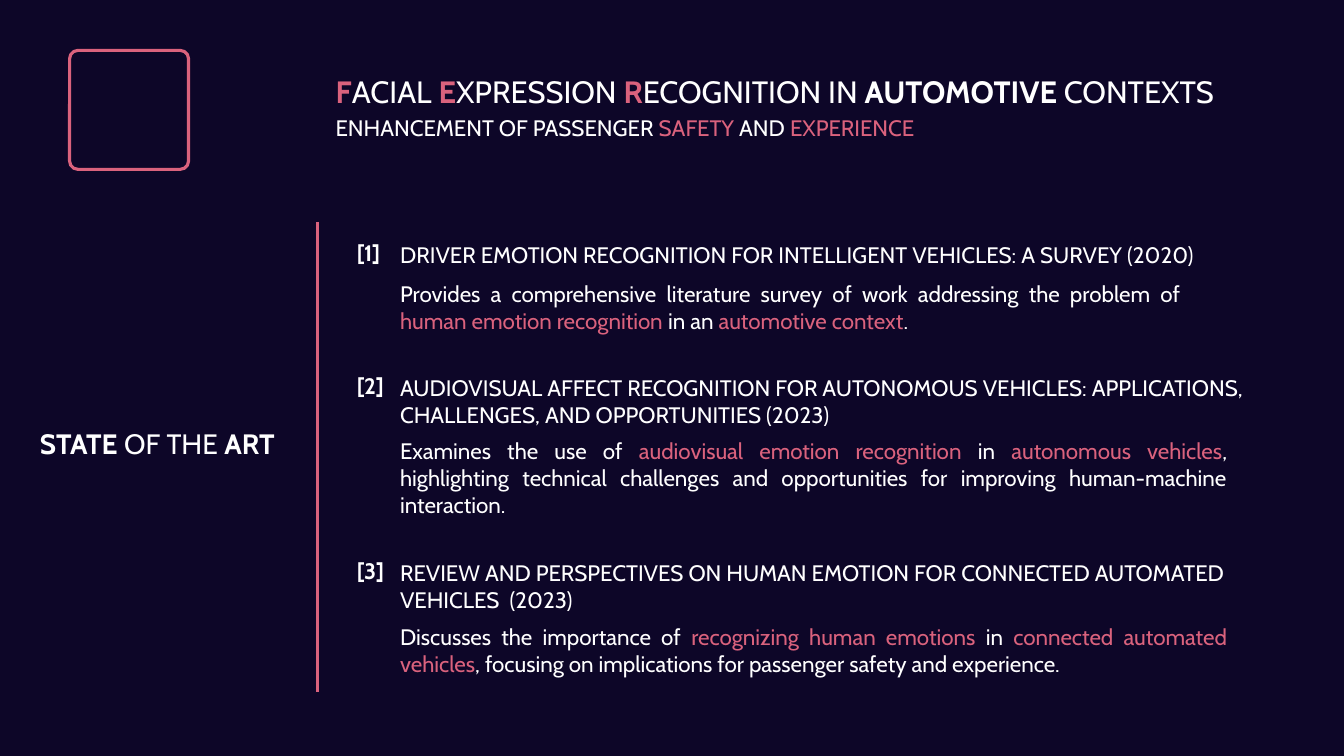
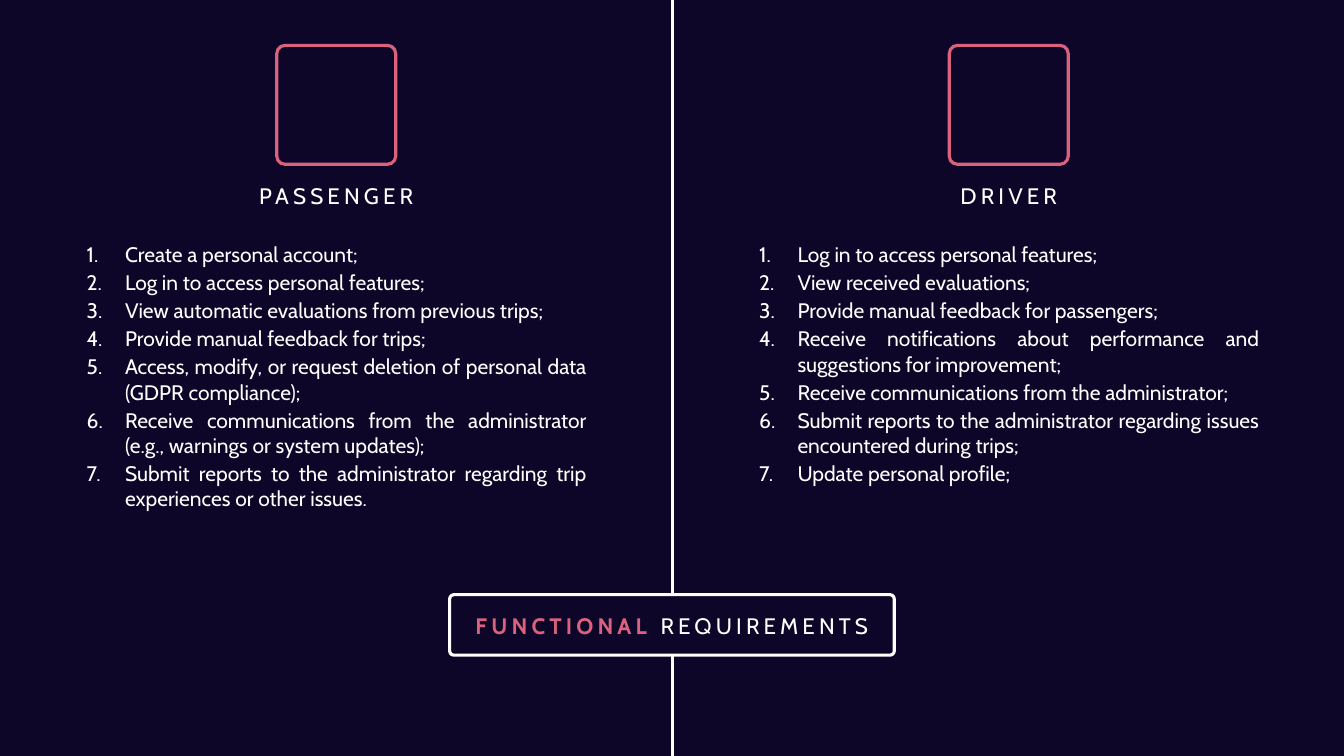
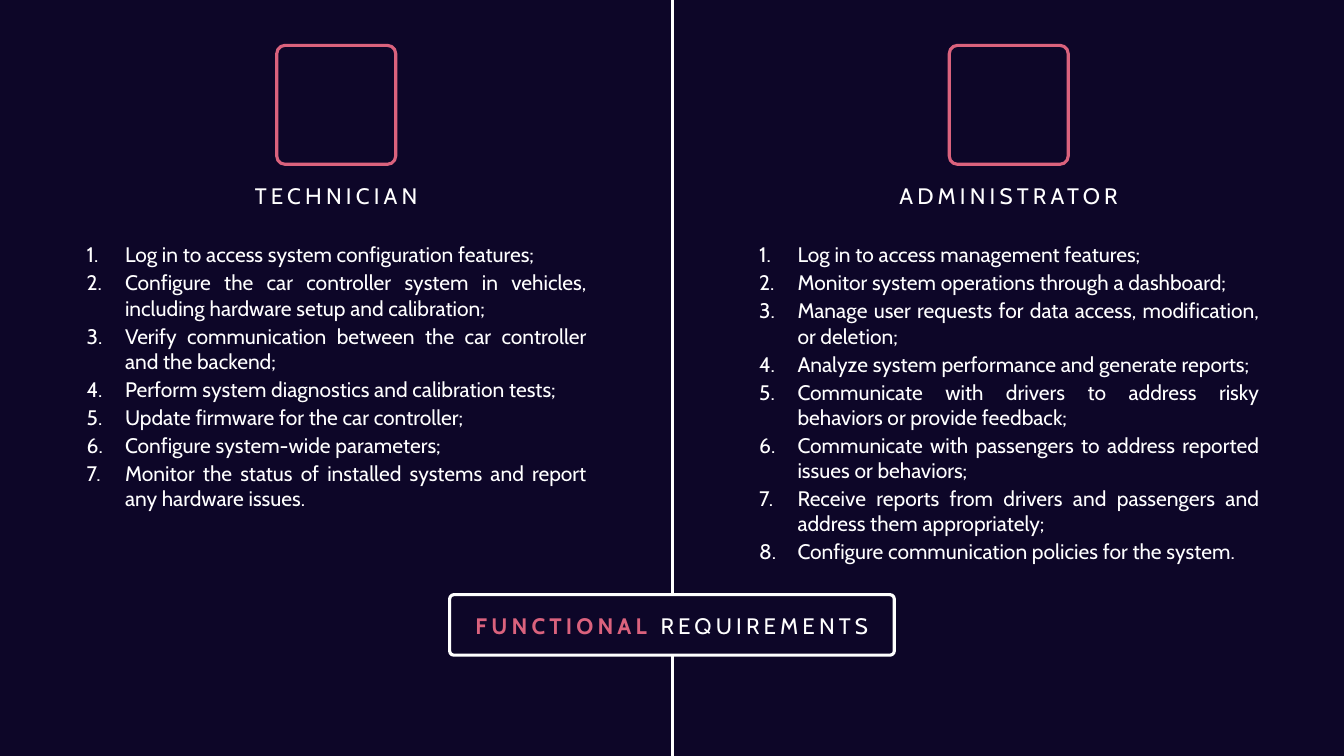
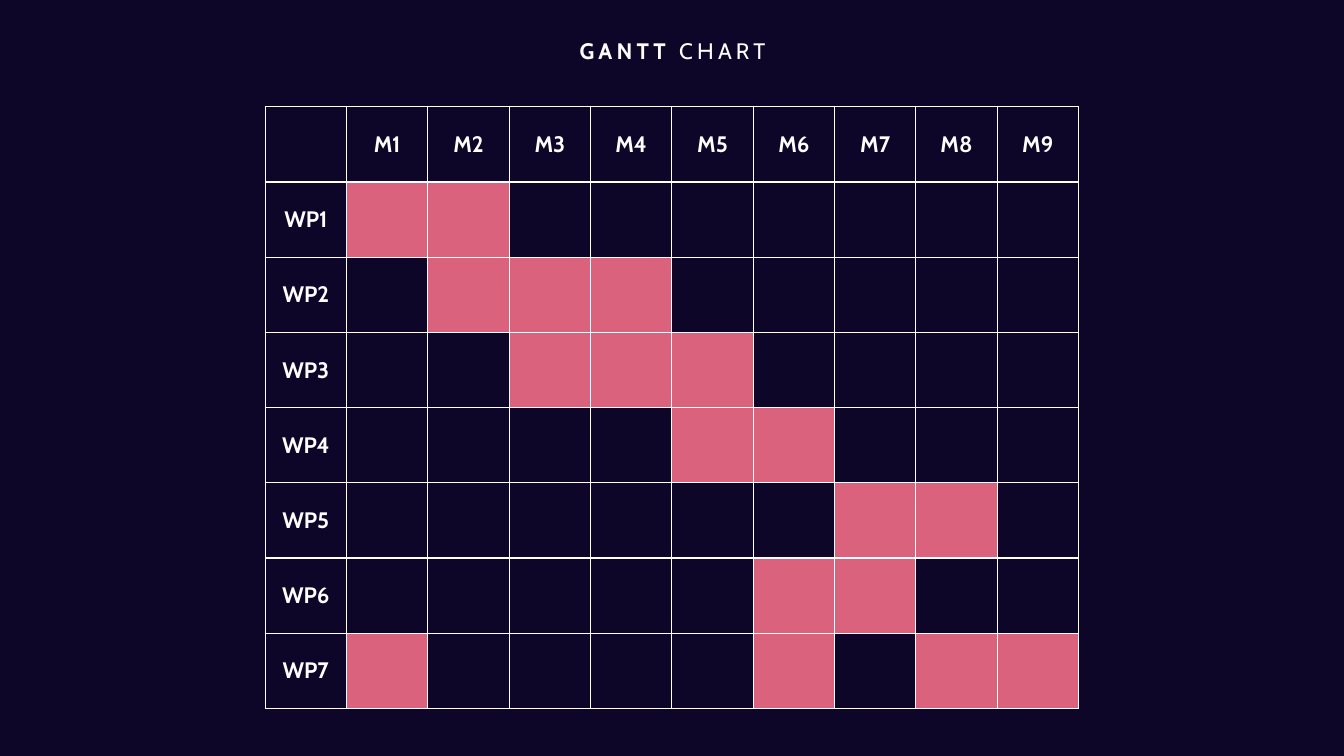
import pptx
import pptx.dml.color
import pptx.enum.shapes
import pptx.enum.text
import pptx.oxml.ns
import pptx.util
from lxml import etree

Inches, Pt = pptx.util.Inches, pptx.util.Pt
RGB = pptx.dml.color.RGBColor.from_string
ALIGN = pptx.enum.text.PP_ALIGN
ANCHOR = pptx.enum.text.MSO_ANCHOR
SHAPE = pptx.enum.shapes.MSO_SHAPE
qn = pptx.oxml.ns.qn

COLORS = {"night": "0D0628", "rose": "DA627D", "white": "FFFFFF"}
FONT = "Cabin"
TITLE_ONLY, COMPARISON = 5, 4
MIDDLE = 6.67
BOX_SIZE = 1.18
TEXT_LEFT = 3.87

# BEGIN_CONTENT
TITLE = [("F", "bold rose"), ("ACIAL ", ""), ("E", "bold rose"), ("XPRESSION ", ""),
         ("R", "bold rose"), ("ECOGNITION IN ", ""), ("AUTOMOTIVE", "bold"), (" CONTEXTS", "")]
SUBTITLE = [("ENHANCEMENT OF PASSENGER ", ""), ("SAFETY", "rose"), (" AND ", ""),
            ("EXPERIENCE", "rose")]
SECTION = [("STATE", "bold"), (" OF THE ", ""), ("ART", "bold")]
REFERENCES = [
    {"top": 2.34, "heading": "DRIVER EMOTION RECOGNITION FOR INTELLIGENT VEHICLES: A SURVEY (2020)",
     "heading_size": (8.71, 0.37), "summary_at": (2.73, 7.94, 0.64),
     "summary": [
         ("Provides a comprehensive literature survey of work addressing the problem of ", ""),
         ("human emotion recognition ", "rose"), ("in an ", ""),
         ("automotive context", "rose"), (".", "")]},
    {"top": 3.66, "heading": "AUDIOVISUAL AFFECT RECOGNITION FOR AUTONOMOUS VEHICLES: "
                             "APPLICATIONS, CHALLENGES, AND OPPORTUNITIES (2023)",
     "heading_size": (9.03, 0.64), "summary_at": (4.29, 8.4, 0.91),
     "summary": [
         ("Examines the use of ", ""), ("audiovisual emotion recognition", "rose"),
         (" in ", ""), ("autonomous vehicles", "rose"),
         (", highlighting technical challenges and opportunities for improving "
          "human-machine interaction.", "")]},
    {"top": 5.5, "heading": "REVIEW AND PERSPECTIVES ON HUMAN EMOTION FOR CONNECTED "
                            "AUTOMATED VEHICLES  (2023)",
     "heading_size": (9.03, 0.64), "summary_at": (6.13, 8.4, 0.64),
     "summary": [
         ("Discusses the importance of ", ""), ("recognizing human emotions", "rose"),
         (" in ", ""), ("connected automated vehicles", "rose"),
         (", focusing on implications for passenger safety and experience.", "")]},
]
REQUIREMENTS_TITLE = [("FUNCTIONAL", "bold rose"), (" REQUIREMENTS", "")]
REQUIREMENTS = [
    [("PASSENGER", [
        "Create a personal account;",
        "Log in to access personal features;",
        "View automatic evaluations from previous trips;",
        "Provide manual feedback for trips;",
        "Access, modify, or request deletion of personal data (GDPR compliance);",
        "Receive communications from the administrator (e.g., warnings or system updates);",
        "Submit reports to the administrator regarding trip experiences or other issues."]),
     ("DRIVER", [
         "Log in to access personal features;",
         "View received evaluations;",
         "Provide manual feedback for passengers;",
         "Receive notifications about performance and suggestions for improvement;",
         "Receive communications from the administrator;",
         "Submit reports to the administrator regarding issues encountered during trips;",
         "Update personal profile;"])],
    [("TECHNICIAN", [
        "Log in to access system configuration features;",
        "Configure the car controller system in vehicles, including hardware setup and calibration;",
        "Verify communication between the car controller and the backend;",
        "Perform system diagnostics and calibration tests;",
        "Update firmware for the car controller;",
        "Configure system-wide parameters;",
        "Monitor the status of installed systems and report any hardware issues."]),
     ("ADMINISTRATOR", [
         "Log in to access management features;",
         "Monitor system operations through a dashboard;",
         "Manage user requests for data access, modification, or deletion;",
         "Analyze system performance and generate reports;",
         "Communicate with drivers to address risky behaviors or provide feedback;",
         "Communicate with passengers to address reported issues or behaviors;",
         "Receive reports from drivers and passengers and address them appropriately;",
         "Configure communication policies for the system."])],
]
GANTT_TITLE = [("GANTT", "bold"), (" CHART", "")]
MONTHS = 9
WORK_PACKAGES = [(1, 2), (2, 3, 4), (3, 4, 5), (5, 6), (7, 8), (6, 7), (1, 6, 8, 9)]
# END_CONTENT


def add_runs(p, runs, size, align=ALIGN.LEFT, spacing=0):
    p.alignment = align
    for text, style in runs:
        r = p.add_run()
        r.text = text
        r.font.name, r.font.size = FONT, Pt(size)
        r.font.bold = "bold" in style
        r.font.color.rgb = RGB(COLORS["rose" if "rose" in style else "white"])
        if spacing:
            r.font._element.set("spc", str(spacing * 100))


def place(sp, at):
    sp.left, sp.top, sp.width, sp.height = (Inches(v) for v in at)
    tf = sp.text_frame
    tf.word_wrap = True
    tf.auto_size = pptx.enum.text.MSO_AUTO_SIZE.NONE
    tf.vertical_anchor = ANCHOR.TOP
    return tf


def fill_text(sp, at, runs, size=16, align=ALIGN.LEFT, spacing=0):
    p = place(sp, at).paragraphs[0]
    p.space_before = Pt(0)
    add_runs(p, runs, size, align, spacing)


def add_text(slide, at, runs, **options):
    sp = slide.shapes.add_textbox(0, 0, 0, 0)
    fill_text(sp, at, runs, **options)


def fill_list(sp, at, items):
    tf = place(sp, at)
    for i, item in enumerate(items):
        p = tf.add_paragraph() if i else tf.paragraphs[0]
        p.space_before = Pt(2)
        add_runs(p, [(item, "")], 15, ALIGN.JUSTIFY)
        pPr = p._p.get_or_add_pPr()
        pPr.set("marL", str(Inches(0.38)))
        pPr.set("indent", str(-Inches(0.38)))
        etree.SubElement(pPr, qn("a:buFont")).set("typeface", FONT)
        etree.SubElement(pPr, qn("a:buAutoNum")).set("type", "arabicPeriod")


def add_frame(slide, at, color):
    sp = slide.shapes.add_shape(SHAPE.ROUNDED_RECTANGLE, *(Inches(v) for v in at))
    sp.adjustments[0] = 0.07
    sp.shadow.inherit = False
    sp.fill.background()
    sp.line.color.rgb = RGB(COLORS[color])
    sp.line.width = Pt(2.25)


def add_vertical(slide, x, top, bottom, color):
    line = slide.shapes.add_connector(
        pptx.enum.shapes.MSO_CONNECTOR.STRAIGHT,
        Inches(x), Inches(top), Inches(x), Inches(bottom))
    line.line.color.rgb = RGB(COLORS[color])
    line.line.width = Pt(2.25)
    etree.SubElement(line._element.spPr, qn("a:effectLst"))


def style_cell(cell, color):
    tcPr = cell._tc.get_or_add_tcPr()
    for side in ("lnL", "lnR", "lnT", "lnB"):
        ln = etree.SubElement(tcPr, qn("a:" + side))
        ln.set("w", str(Pt(1)))
        fill = etree.SubElement(ln, qn("a:solidFill"))
        etree.SubElement(fill, qn("a:srgbClr")).set("val", COLORS["white"])
    cell.fill.solid()
    cell.fill.fore_color.rgb = RGB(COLORS[color])
    cell.vertical_anchor = ANCHOR.MIDDLE


def new_slide(prs, layout):
    return prs.slides.add_slide(prs.slide_layouts[layout])


def build_state_of_art(prs):
    slide = new_slide(prs, TITLE_ONLY)
    fill_text(slide.shapes.title, (3.23, 0.67, 9.22, 0.47), TITLE, size=22)
    add_text(slide, (3.23, 1.08, 7.27, 0.37), SUBTITLE)
    add_frame(slide, (0.69, 0.5, BOX_SIZE, BOX_SIZE), "rose")
    add_text(slide, (0, 4.18, 3.12, 0.44), SECTION, size=20, align=ALIGN.CENTER)
    add_vertical(slide, 3.15, 2.2, 6.87, "rose")
    for number, ref in enumerate(REFERENCES, 1):
        add_text(slide, (3.44, ref["top"] - 0.02, 0.59, 0.37), [(f"[{number}]", "bold")])
        add_text(slide, (TEXT_LEFT, ref["top"], *ref["heading_size"]), [(ref["heading"], "")])
        add_text(slide, (TEXT_LEFT, *ref["summary_at"]), ref["summary"], align=ALIGN.JUSTIFY)


def build_requirements(prs, roles):
    slide = new_slide(prs, COMPARISON)
    heads_and_lists = [sp for sp in slide.placeholders if sp.placeholder_format.idx in (1, 2, 3, 4)]
    for column, (role, items) in enumerate(roles):
        head, body = heads_and_lists[2 * column:2 * column + 2]
        center = MIDDLE * (column + 0.5)
        fill_text(head, (center - 1.32, 1.76, 2.64, 0.37), [(role, "")],
                  align=ALIGN.CENTER, spacing=3)
        fill_list(body, (0.76 + MIDDLE * column, 2.35, 5.16, 3.33), items)
        add_frame(slide, (center - BOX_SIZE / 2, 0.45, BOX_SIZE, BOX_SIZE), "rose")
    fill_text(slide.shapes.title, (3.6, 6.02, 6.13, 0.37), REQUIREMENTS_TITLE,
              align=ALIGN.CENTER, spacing=3)
    add_frame(slide, (4.46, 5.9, 4.41, 0.6), "white")
    for top, bottom in ((0, 5.9), (6.5, 7.5)):
        add_vertical(slide, MIDDLE, top, bottom, "white")


def build_gantt(prs):
    slide = new_slide(prs, TITLE_ONLY)
    fill_text(slide.shapes.title, (5.38, 0.32, 2.58, 0.37), GANTT_TITLE,
              align=ALIGN.CENTER, spacing=3)
    rows, cols = len(WORK_PACKAGES) + 1, MONTHS + 1
    table = slide.shapes.add_table(rows, cols, Inches(2.63), Inches(1.06),
                                   Inches(8.07), Inches(5.97)).table
    table.first_row = table.horz_banding = False
    for row in range(rows):
        for col in range(cols):
            cell = table.cell(row, col)
            busy = row > 0 and col in WORK_PACKAGES[row - 1]
            style_cell(cell, "rose" if busy else "night")
            if (row == 0) != (col == 0):
                label = f"WP{row}" if row else f"M{col}"
                add_runs(cell.text_frame.paragraphs[0], [(label, "bold")], 16, ALIGN.CENTER)


def main():
    prs = pptx.Presentation()
    prs.slide_width, prs.slide_height = Inches(13.33), Inches(7.5)
    background = prs.slide_master.background.fill
    background.solid()
    background.fore_color.rgb = RGB(COLORS["night"])
    build_state_of_art(prs)
    for roles in REQUIREMENTS:
        build_requirements(prs, roles)
    build_gantt(prs)
    prs.save("out.pptx")


if __name__ == "__main__":
    main()
